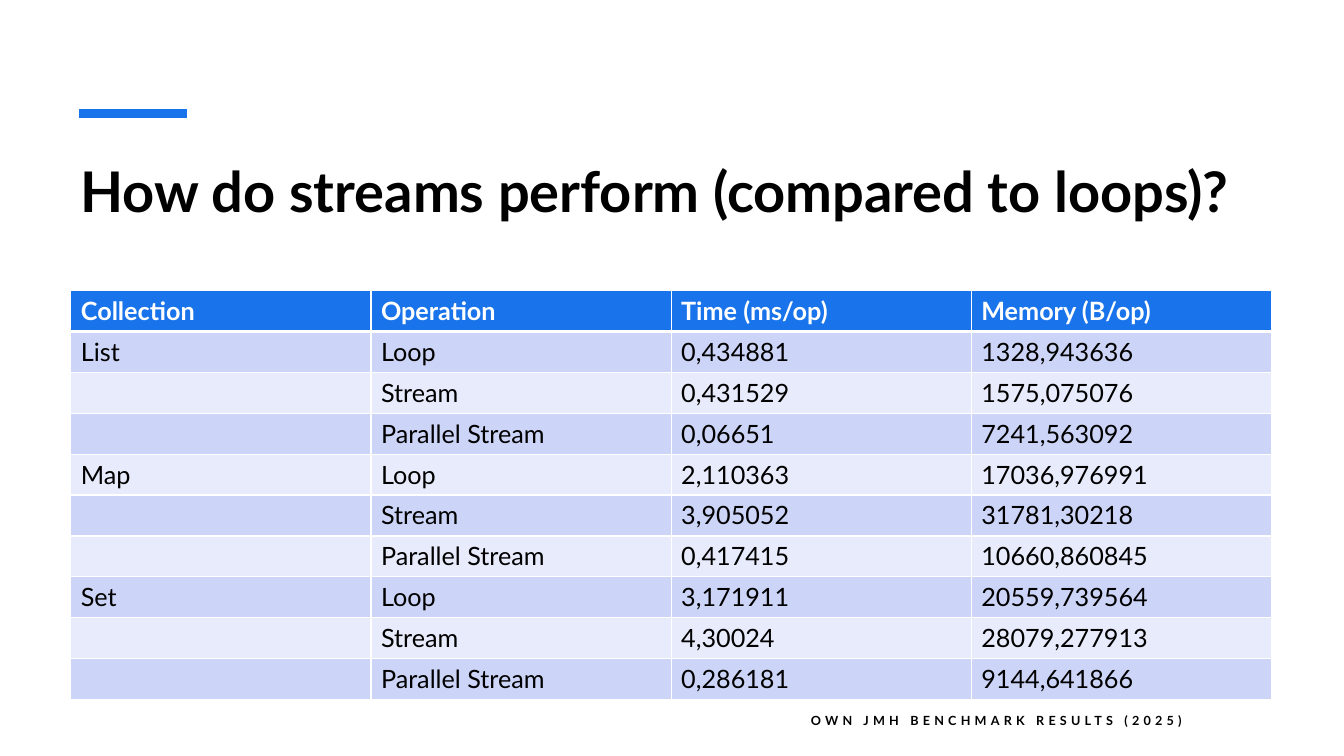
import pptx
import pptx.dml.color
import pptx.enum.shapes
import pptx.enum.text
import pptx.oxml
import pptx.oxml.ns
import pptx.util

Pt = pptx.util.Pt
RGB = pptx.dml.color.RGBColor
ALIGN = pptx.enum.text.PP_ALIGN
ANCHOR = pptx.enum.text.MSO_ANCHOR

BLUE = RGB(0x19, 0x73, 0xEB)
DARK = RGB(0xCC, 0xD5, 0xF7)
LIGHT = RGB(0xE8, 0xEB, 0xFB)
WHITE = RGB(0xFF, 0xFF, 0xFF)
BLACK = RGB(0, 0, 0)

HEAD = ("Collection", "Operation", "Time (ms/op)", "Memory (B/op)")
MODES = ("Loop", "Stream", "Parallel Stream")
RESULTS = {
    "List": (("0,434881", "1328,943636"), ("0,431529", "1575,075076"),
             ("0,06651", "7241,563092")),
    "Map": (("2,110363", "17036,976991"), ("3,905052", "31781,30218"),
            ("0,417415", "10660,860845")),
    "Set": (("3,171911", "20559,739564"), ("4,30024", "28079,277913"),
            ("0,286181", "9144,641866")),
}


def write(frame, text, size=18, color=BLACK, bold=False, align=ALIGN.LEFT, gap=0):
    """Fill a text frame; gap is the letter spacing in points."""
    para = frame.paragraphs[0]
    para.alignment = align
    run = para.add_run()
    run.text = text
    font = run.font
    font.name = "Lato"
    font.size = Pt(size)
    font.bold = bold
    font.color.rgb = color
    if gap:
        run._r.get_or_add_rPr().set("spc", str(gap * 100))


def edge(cell, sides):
    """Draw white cell borders from pairs of tag and width, in schema order."""
    props = cell._tc.get_or_add_tcPr()
    for spot, (tag, width) in enumerate(sides):
        props.insert(spot, pptx.oxml.parse_xml(
            f'<a:{tag} {pptx.oxml.ns.nsdecls("a")} w="{Pt(width)}"><a:solidFill>'
            f'<a:srgbClr val="{WHITE}"/></a:solidFill></a:{tag}>'))


class Page:
    def __init__(self, deck):
        self.slide = deck.slides.add_slide(deck.slide_layouts[6])
        self.shapes = self.slide.shapes
        fill = self.slide.background.fill
        fill.solid()
        fill.fore_color.rgb = WHITE

    def text(self, text, x, y, w, h, anchor=ANCHOR.TOP, **style):
        frame = self.shapes.add_textbox(Pt(x), Pt(y), Pt(w), Pt(h)).text_frame
        frame.word_wrap = True
        frame.vertical_anchor = anchor
        write(frame, text, **style)

    def line(self, x, y, end, width):
        line = self.shapes.add_connector(
            pptx.enum.shapes.MSO_CONNECTOR.STRAIGHT, Pt(x), Pt(y), Pt(end), Pt(y))
        line.line.color.rgb = BLUE
        line.line.width = Pt(width)
        line._element.spPr.append(pptx.oxml.parse_xml(
            f'<a:effectLst {pptx.oxml.ns.nsdecls("a")}/>'))

    def table(self, rows, x, y, w, h):
        table = self.shapes.add_table(
            len(rows), len(rows[0]), Pt(x), Pt(y), Pt(w), Pt(h)).table
        table.horz_banding = False
        for col in table.columns:
            col.width = Pt(w / len(rows[0]))
        for i, row in enumerate(rows):
            table.rows[i].height = Pt(h / len(rows))
            shade = BLUE if i == 0 else DARK if i % 2 else LIGHT
            for j, text in enumerate(row):
                cell = table.cell(i, j)
                cell.fill.solid()
                cell.fill.fore_color.rgb = shade
                edge(cell, (("lnL", 1), ("lnR", 1), ("lnT", 3 if i == 1 else 1),
                            ("lnB", 3 if i == 0 else 1)))
                if text:
                    write(cell.text_frame, text, bold=i == 0,
                          color=BLACK if i else WHITE)


def main():
    deck = pptx.Presentation()
    deck.slide_width, deck.slide_height = Pt(960), Pt(540)
    page = Page(deck)
    page.line(56.4, 81.2, 133.4, 6)
    page.text("How do streams perform (compared to loops)?",
              50.6, 108, 857.6, 86.4, size=40, bold=True)
    rows = [HEAD]
    for kind, values in RESULTS.items():
        for mode, pair in zip(MODES, values):
            rows.append((kind if mode == MODES[0] else "", mode, *pair))
    page.table(rows, 50.6, 207.6, 857.6, 292)
    page.text("OWN JMH BENCHMARK RESULTS (2025)", 532.8, 500.4, 318.2, 28.8,
              anchor=ANCHOR.MIDDLE, size=9, bold=True, align=ALIGN.RIGHT, gap=3)
    deck.save("out.pptx")


if __name__ == "__main__":
    main()
